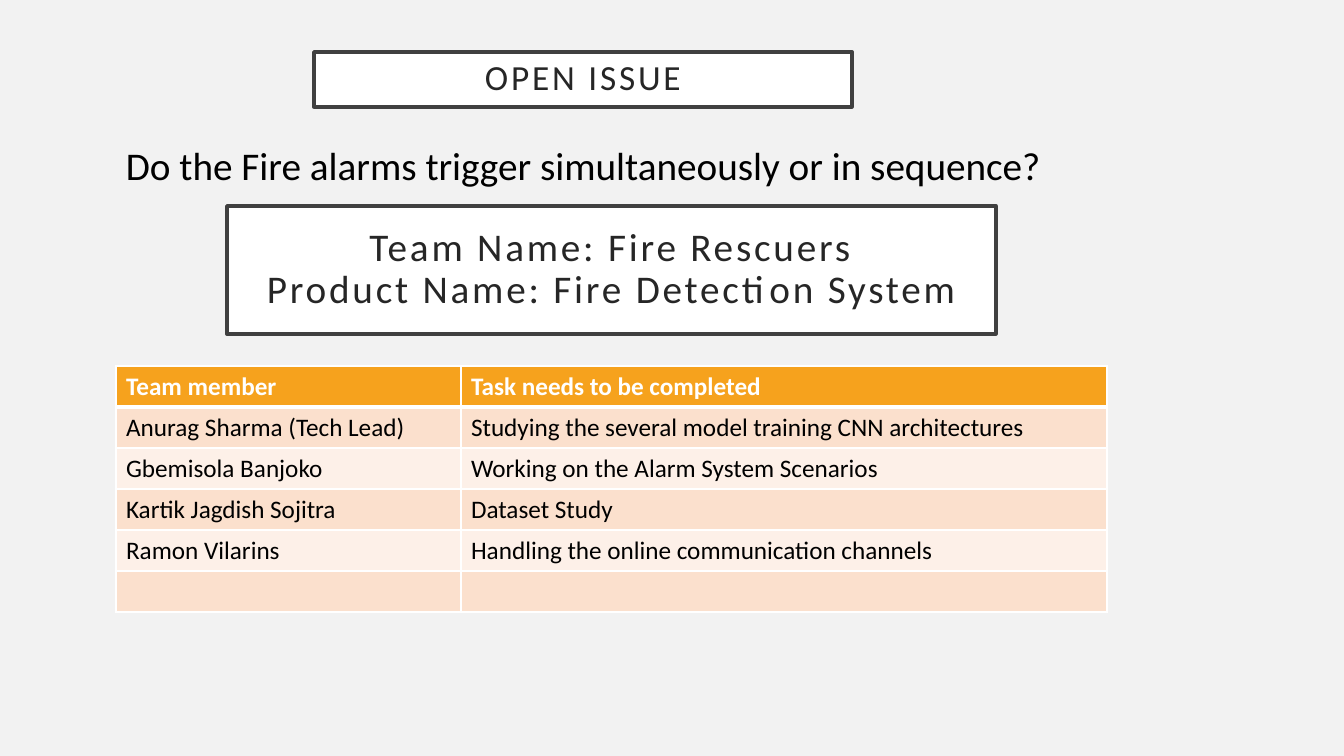
from lxml import etree
from pptx import Presentation
from pptx.dml.color import RGBColor
from pptx.enum.shapes import MSO_SHAPE
from pptx.enum.text import MSO_ANCHOR, PP_ALIGN
from pptx.oxml.ns import qn
from pptx.util import Emu, Pt

RECTANGLE = MSO_SHAPE.RECTANGLE
MIDDLE = MSO_ANCHOR.MIDDLE
CENTER = PP_ALIGN.CENTER

EMU_PER_PX = 914400 / 100.8
COLORS = {
    "background": "F2F2F2",
    "white": "FFFFFF",
    "frame": "404040",
    "heading": "262626",
    "black": "000000",
    "header": "F6A21D",
    "band_dark": "FBE0CD",
    "band_light": "FDF0E8",
}
TASKS = [
    ("Team member", "Task needs to be completed"),
    ("Anurag Sharma (Tech Lead)", "Studying the several model training CNN architectures"),
    ("Gbemisola Banjoko", "Working on the Alarm System Scenarios"),
    ("Kartik Jagdish Sojitra", "Dataset Study"),
    ("Ramon Vilarins", "Handling the online communication channels"),
    ("", ""),
]


def px(length):
    return Emu(round(length * EMU_PER_PX))


def color(name):
    return RGBColor.from_string(COLORS[name])


def apply(target, values):
    for name, value in values.items():
        setattr(target, name, value)


class SlideBuilder:
    font_name = "Calibri"

    def __init__(self, slide):
        self.slide = slide

    def background(self, fill):
        self.paint(self.slide.background.fill, fill)

    def paint(self, target, fill):
        target.solid()
        target.fore_color.rgb = color(fill)

    def set_text(self, text_frame, lines, size, text_color, bold=False, spacing=0):
        paragraph = text_frame.paragraphs[0]
        paragraph.text = "\v".join(lines)
        for run in paragraph.runs:
            apply(run.font, {"name": self.font_name, "size": Pt(size), "bold": bold})
            run.font.color.rgb = color(text_color)
            if spacing:
                run._r.get_or_add_rPr().set("spc", str(spacing * 100))
        return paragraph

    def framed_box(self, box, lines, size):
        shape = self.slide.shapes.add_shape(RECTANGLE, *map(px, box))
        shape.shadow.inherit = False
        self.paint(shape.fill, "white")
        shape.line.color.rgb = color("frame")
        shape.line.width = Pt(2.5)
        margins = dict.fromkeys(
            ("margin_left", "margin_top", "margin_right", "margin_bottom"), px(20))
        apply(shape.text_frame, {"word_wrap": True, "vertical_anchor": MIDDLE, **margins})
        paragraph = self.set_text(shape.text_frame, lines, size, "heading", spacing=2)
        apply(paragraph, {"alignment": CENTER, "line_spacing": 0.9})

    def text(self, box, line, size):
        shape = self.slide.shapes.add_textbox(*map(px, box))
        shape.text_frame.word_wrap = True
        self.set_text(shape.text_frame, [line], size, "black")

    def border(self, cell, widths):
        properties = cell._tc.get_or_add_tcPr()
        for index, (side, width) in enumerate(widths.items()):
            line = etree.Element(qn(f"a:ln{side}"), w=str(Pt(width)))
            fill = etree.SubElement(line, qn("a:solidFill"))
            etree.SubElement(fill, qn("a:srgbClr"), val=COLORS["white"])
            properties.insert(index, line)

    def table(self, left, top, column_widths, row_height, rows, size):
        box = (left, top, sum(column_widths), row_height * len(rows))
        table = self.slide.shapes.add_table(
            len(rows), len(column_widths), *map(px, box)).table
        for column, width in zip(table.columns, column_widths):
            column.width = px(width)
        for row_index, texts in enumerate(rows):
            table.rows[row_index].height = px(row_height)
            header = row_index == 0
            band = "band_dark" if row_index % 2 else "band_light"
            # The rule under the header row is thicker than the others
            widths = {"L": 1, "R": 1, "T": 3 if row_index == 1 else 1, "B": 3 if header else 1}
            for column_index, text in enumerate(texts):
                cell = table.cell(row_index, column_index)
                self.paint(cell.fill, "header" if header else band)
                self.border(cell, widths)
                self.set_text(cell.text_frame, [text], size,
                              "white" if header else "black", bold=header)


def main():
    presentation = Presentation()
    apply(presentation, {"slide_width": px(1344), "slide_height": px(756)})
    builder = SlideBuilder(presentation.slides.add_slide(presentation.slide_layouts[6]))
    builder.background("background")

    # Open issue and its question
    builder.framed_box((314, 52, 538, 55), ["OPEN ISSUE"], 25.2)
    builder.text((116, 136, 1127, 57),
                 "Do the Fire alarms trigger simultaneously or in sequence?", 28)

    # Team and product
    builder.framed_box((227, 206, 769, 128),
                       ["Team Name: Fire Rescuers",
                        "Product Name: Fire Detection System"], 28)

    # Tasks per team member
    builder.table(116, 366, (345, 646), 41, TASKS, 18)

    presentation.save("out.pptx")


if __name__ == "__main__":
    main()
